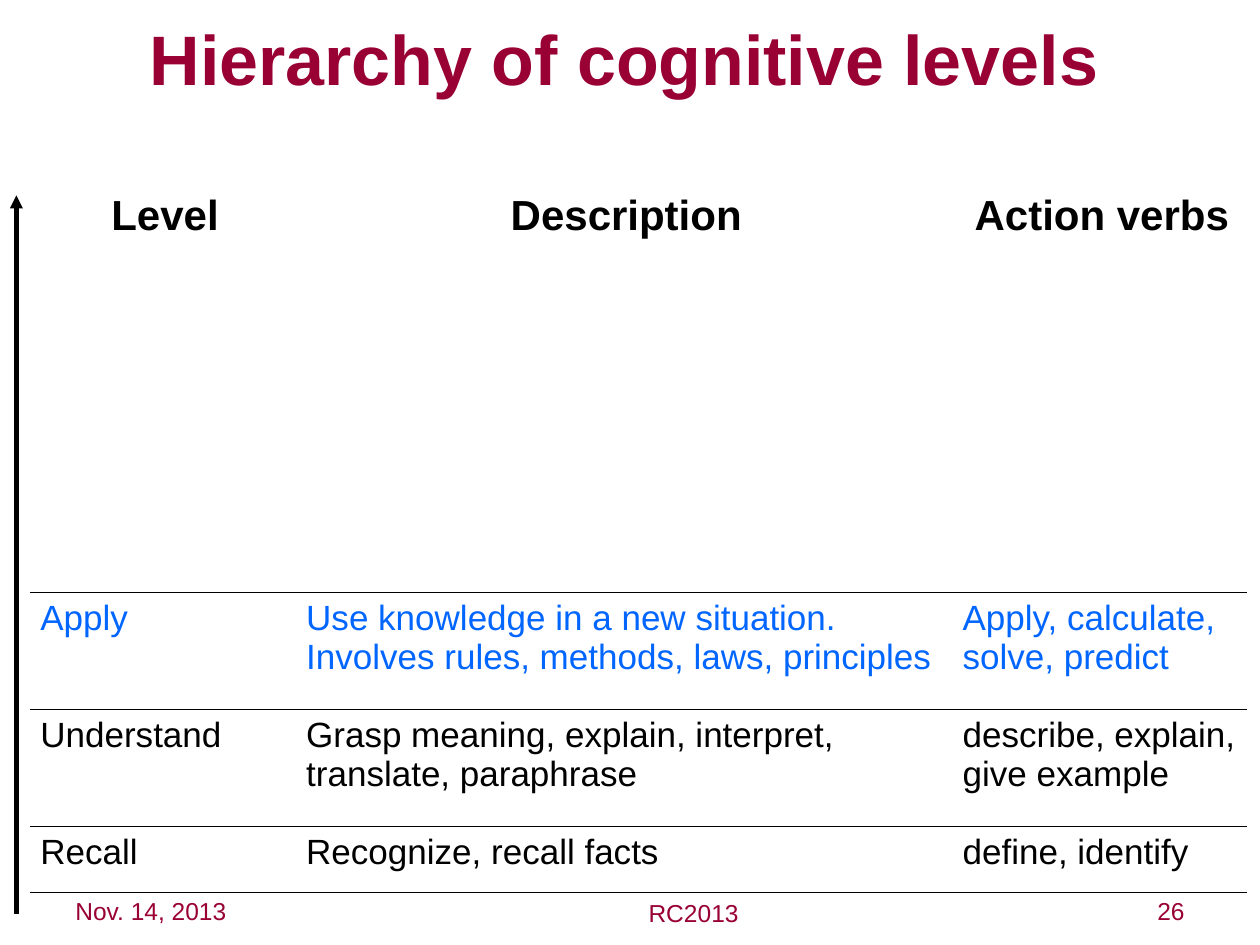
from dataclasses import dataclass

from lxml.etree import SubElement
from pptx import Presentation
from pptx.dml.color import RGBColor
from pptx.enum.shapes import MSO_CONNECTOR as Connector
from pptx.enum.text import MSO_ANCHOR as Anchor, PP_ALIGN as Align
from pptx.oxml.ns import qn
from pptx.util import Inches, Pt


@dataclass(frozen=True)
class Theme:
    font: str = "Arial"
    accent: str = "990033"
    highlight: str = "0066FF"
    ink: str = "000000"
    title_size: int = 40
    header_size: int = 24
    body_size: int = 20
    footer_size: int = 14
    rule_width: float = 0.45
    arrow_width: float = 2.5


class SlideBuilder:
    def __init__(self, slide, theme):
        self.slide = slide
        self.theme = theme

    def set_text(self, frame, text, size, color, bold=False, align=Align.LEFT, before=0):
        paragraph = frame.paragraphs[0]
        paragraph.alignment = align
        paragraph.space_before = Pt(before)
        run = paragraph.add_run()
        run.text = text
        formats = {"name": self.theme.font, "size": Pt(size), "bold": bold}
        for name, value in formats.items():
            setattr(run.font, name, value)
        run.font.color.rgb = RGBColor.from_string(color)

    def title(self, text, left, top, width, height):
        shape = self.slide.shapes.title
        box = {"left": left, "top": top, "width": width, "height": height}
        for name, value in box.items():
            setattr(shape, name, Inches(value))
        frame = shape.text_frame
        frame.vertical_anchor = Anchor.MIDDLE
        frame.margin_top = frame.margin_bottom = 0
        self.set_text(frame, text, self.theme.title_size, self.theme.accent, True, Align.CENTER)

    def footer(self, text, left, top, width, align):
        shape = self.slide.shapes.add_textbox(*map(Inches, (left, top, width, 0.44)))
        shape.text_frame.word_wrap = True
        self.set_text(shape.text_frame, text, self.theme.footer_size, self.theme.accent, align=align)

    def up_arrow(self, x, bottom, top):
        arrow = self.slide.shapes.add_connector(
            Connector.STRAIGHT, *map(Inches, (x, bottom, x, top)))
        arrow.line.width = Pt(self.theme.arrow_width)
        arrow.line.color.rgb = RGBColor.from_string(self.theme.ink)
        properties = arrow._element.spPr
        SubElement(properties.find(qn("a:ln")), qn("a:tailEnd"), type="triangle")
        SubElement(properties, qn("a:effectLst"))

    def border(self, cell, side, visible):
        properties = cell._tc.get_or_add_tcPr()
        line = SubElement(properties, qn(f"a:ln{side}"), w=str(Pt(self.theme.rule_width)))
        if visible:
            fill = SubElement(line, qn("a:solidFill"))
            SubElement(fill, qn("a:srgbClr"), val=self.theme.ink)
        else:
            SubElement(line, qn("a:noFill"))

    def table(self, rows, left, top, widths, heights, highlighted_row):
        """Draw a table ruled only below each row; the first row is the header."""
        theme = self.theme
        table = self.slide.shapes.add_table(
            len(rows), len(widths),
            *map(Inches, (left, top, sum(widths), sum(heights)))).table
        table.first_row = table.horz_banding = False
        for column, width in zip(table.columns, widths):
            column.width = Inches(width)
        margins = {"margin_left": 0.08, "margin_right": 0.05,
                   "margin_top": 0.05, "margin_bottom": 0.05}
        header = {"size": theme.header_size, "bold": True, "align": Align.CENTER, "before": 6}
        body = {"size": theme.body_size, "before": 5}
        for row_index, (texts, height) in enumerate(zip(rows, heights)):
            table.rows[row_index].height = Inches(height)
            color = theme.highlight if row_index == highlighted_row else theme.ink
            style = body if row_index else header
            for column_index, text in enumerate(texts):
                cell = table.cell(row_index, column_index)
                for name, value in margins.items():
                    setattr(cell, name, Inches(value))
                for side, visible in (("L", False), ("R", False),
                                      ("T", row_index > 0), ("B", True)):
                    self.border(cell, side, visible)
                cell.fill.background()
                self.set_text(cell.text_frame, text, color=color, **style)


LEVELS = [
    ("Level", "Description", "Action verbs"),
    ("Apply",
     "Use knowledge in a new situation. Involves rules, methods, laws, principles",
     "Apply, calculate, solve, predict"),
    ("Understand",
     "Grasp meaning, explain, interpret, translate, paraphrase",
     "describe, explain, give example"),
    ("Recall", "Recognize, recall facts", "define, identify"),
]


def main():
    presentation = Presentation()
    presentation.slide_width, presentation.slide_height = Inches(10), Inches(7.5)
    title_only = presentation.slide_layouts[5]
    builder = SlideBuilder(presentation.slides.add_slide(title_only), Theme())

    builder.footer("Nov. 14, 2013", 0.5, 7.06, 2.33, Align.LEFT)
    builder.footer("26", 8.08, 7.06, 1.42, Align.RIGHT)
    builder.footer("RC2013", 3.92, 7.08, 3.17, Align.CENTER)
    builder.title("Hierarchy of cognitive levels ", 0.58, 0.17, 8.9, 0.58)
    builder.up_arrow(0.13, bottom=7.25, top=1.55)
    builder.table(LEVELS, 0.24, 1.48, widths=(2.11, 5.21, 2.34),
                  heights=(3.22, 0.93, 0.93, 0.52), highlighted_row=1)
    presentation.save("out.pptx")


if __name__ == "__main__":
    main()
